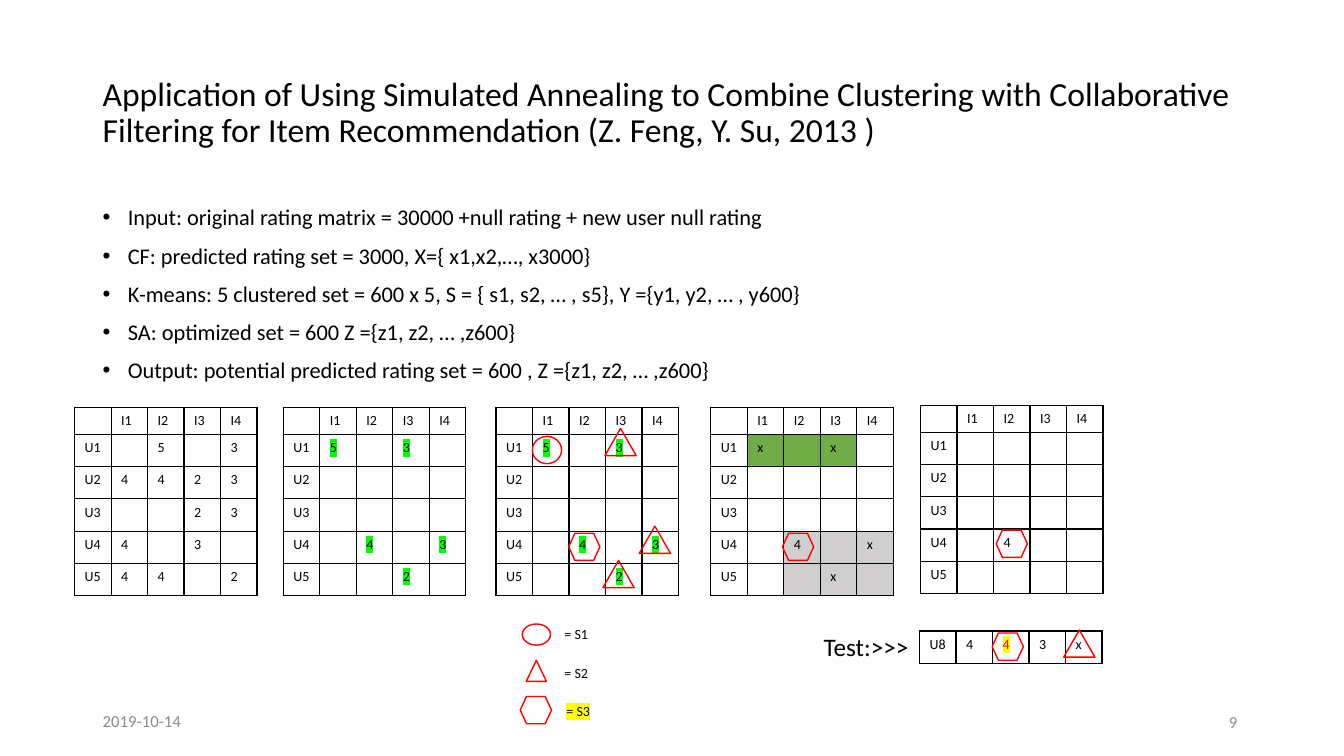
from lxml import etree
from pptx import Presentation
from pptx.dml.color import RGBColor
from pptx.enum.shapes import MSO_SHAPE
from pptx.enum.text import MSO_ANCHOR, PP_ALIGN
from pptx.oxml.ns import qn
from pptx.util import Inches, Pt

CIRCLE = MSO_SHAPE.OVAL
TRIANGLE = MSO_SHAPE.ISOSCELES_TRIANGLE
HEXAGON = MSO_SHAPE.FLOWCHART_PREPARATION
MIDDLE, TOP = MSO_ANCHOR.MIDDLE, MSO_ANCHOR.TOP
LEFT, RIGHT = PP_ALIGN.LEFT, PP_ALIGN.RIGHT

BLACK, GRAY, RED = "000000", "8C8C8C", "FF0000"
LIME, YELLOW, GREEN, SILVER = "00FF00", "FFFF00", "70AD47", "D0CECE"
TABLE_WIDTH, HEADER_HEIGHT, ROW_HEIGHT = 1.81, 0.27, 0.32


def rgb(value):
    return RGBColor.from_string(value)


def apply_format(target, values):
    for name, value in values.items():
        setattr(target, name, value)


def add_color(parent, color):
    fill = etree.SubElement(parent, qn("a:solidFill"))
    etree.SubElement(fill, qn("a:srgbClr"), val=color)


class SlideBuilder:
    font_name = "Calibri"

    def __init__(self, slide):
        self.slide = slide

    def add_text_run(self, paragraph, text, size, color=BLACK, highlight=None):
        run = paragraph.add_run()
        run.text = text
        apply_format(run.font, {"size": Pt(size), "name": self.font_name})
        run.font.color.rgb = rgb(color)
        if highlight:
            mark = etree.Element(qn("a:highlight"))
            etree.SubElement(mark, qn("a:srgbClr"), val=highlight)
            run._r.get_or_add_rPr().find(qn("a:solidFill")).addnext(mark)

    def text(self, box, lines, size, anchor=TOP, wrap=True, align=LEFT,
             spacing=None, bullet=False, **style):
        shape = self.slide.shapes.add_textbox(*map(Inches, box))
        frame = shape.text_frame
        apply_format(frame, {"word_wrap": wrap, "vertical_anchor": anchor})
        for index, line in enumerate(lines):
            paragraph = frame.add_paragraph() if index else frame.paragraphs[0]
            apply_format(paragraph, {"alignment": align, "line_spacing": spacing})
            if bullet:
                paragraph.space_before = Pt(10 if index else 0)
                properties = paragraph._p.get_or_add_pPr()
                properties.set("marL", str(Inches(0.25)))
                properties.set("indent", str(Inches(-0.25)))
                etree.SubElement(properties, qn("a:buFont"), typeface="Arial")
                etree.SubElement(properties, qn("a:buChar"), char="•")
            self.add_text_run(paragraph, line, size, **style)

    def marker(self, kind, left, top, width=0.31, height=0.27):
        shape = self.slide.shapes.add_shape(kind, *map(Inches, (left, top, width, height)))
        shape.shadow.inherit = False
        shape.fill.background()
        shape.line.color.rgb = rgb(RED)
        shape.line.width = Pt(1)

    def border(self, cell):
        properties = cell._tc.get_or_add_tcPr()
        for side in ("lnL", "lnR", "lnT", "lnB"):
            line = etree.SubElement(properties, qn(f"a:{side}"), w=str(Pt(1)))
            add_color(line, BLACK)

    def table(self, left, top, rows, heights, styles=None, fills=None):
        """Each row is a string of cells; a dot leaves a cell empty."""
        styles, fills = styles or {}, fills or {}
        cells = [row.split() for row in rows]
        columns = len(cells[0])
        frame = self.slide.shapes.add_table(
            len(cells), columns, Inches(left), Inches(top),
            Inches(TABLE_WIDTH), Inches(sum(heights)))
        table = frame.table
        apply_format(table, {"first_row": False, "horz_banding": False})
        for column in table.columns:
            column.width = Inches(TABLE_WIDTH / columns)
        for row, height in zip(table.rows, heights):
            row.height = Inches(height)
        for r, values in enumerate(cells):
            for c, value in enumerate(values):
                cell = table.cell(r, c)
                self.border(cell)
                if (r, c) in fills:
                    cell.fill.solid()
                    cell.fill.fore_color.rgb = rgb(fills[r, c])
                else:
                    cell.fill.background()
                paragraph = cell.text_frame.paragraphs[0]
                if value == ".":
                    # Keep empty cells as low as filled ones
                    etree.SubElement(paragraph._p, qn("a:endParaRPr"), sz="1000")
                else:
                    self.add_text_run(paragraph, value, 10, **styles.get((r, c), {}))

    def matrix(self, left, top, ratings, **options):
        rows = [". I1 I2 I3 I4"]
        rows += [f"U{number} {row}" for number, row in enumerate(ratings, 1)]
        self.table(left, top, rows, [HEADER_HEIGHT] + [ROW_HEIGHT] * len(ratings), **options)


def main():
    presentation = Presentation()
    presentation.slide_width, presentation.slide_height = Inches(13.33), Inches(7.5)
    builder = SlideBuilder(presentation.slides.add_slide(presentation.slide_layouts[6]))

    # Title, body and footer
    builder.text((0.92, 0.4, 11.5, 1.45), [
        "Application of Using Simulated Annealing to Combine Clustering with "
        "Collaborative Filtering for Item Recommendation (Z. Feng, Y. Su, 2013 )",
    ], 24, anchor=MIDDLE, spacing=0.9)
    builder.text((0.92, 2, 11.5, 1.9), [
        "Input: original rating matrix = 30000 +null rating + new user null rating",
        "CF: predicted rating set = 3000, X={ x1,x2,…, x3000}",
        "K-means: 5 clustered set = 600 x 5, S = { s1, s2, … , s5}, Y ={y1, y2, … , y600}",
        "SA: optimized set = 600 Z ={z1, z2, … ,z600}",
        "Output: potential predicted rating set = 600 , Z ={z1, z2, … ,z600}",
    ], 16, spacing=0.9, bullet=True)
    builder.text((0.92, 6.95, 3, 0.4), ["2019-10-14"], 12, anchor=MIDDLE, color=GRAY)
    builder.text((9.37, 6.96, 3, 0.4), ["9"], 12, anchor=MIDDLE, align=RIGHT, color=GRAY)

    # Rating matrices: input, predicted, clustered, optimized, output
    empty = ". . . ."
    builder.matrix(0.74, 4.04, [". 5 . 3", "4 4 2 3", ". . 2 3", "4 . 3 .", "4 4 . 2"])
    predicted = ["5 . 3 .", empty, empty, ". 4 . 3", ". . 2 ."]
    lime_cells = {position: {"highlight": LIME}
                  for position in ((1, 1), (1, 3), (4, 2), (4, 4), (5, 3))}
    for left in (2.81, 4.92):
        builder.matrix(left, 4.04, predicted, styles=lime_cells)
    clusters = {(1, c): GREEN for c in (1, 2, 3)}
    clusters.update({(r, c): SILVER for r in (4, 5) for c in (2, 3, 4)})
    builder.matrix(7.05, 4.04, ["x . x .", empty, empty, ". 4 . x", ". . x ."], fills=clusters)
    builder.matrix(9.13, 4.02, [empty, empty, empty, ". 4 . .", empty])

    # Test row
    builder.table(9.12, 6.26, ["U8 4 4 3 x"], [ROW_HEIGHT],
                  styles={(0, 2): {"color": RED, "highlight": YELLOW}})
    builder.text((8.07, 6.21, 1.05, 0.4), ["Test:>>>"], 18, wrap=False)

    # Cluster markers over the cells
    builder.marker(CIRCLE, 5.28, 4.33, width=0.29)
    for left, top in ((6, 4.25), (6.34, 5.22), (5.98, 5.56), (10.55, 6.25)):
        builder.marker(TRIANGLE, left, top)
    for left, top in ((5.64, 5.29), (7.76, 5.29), (9.88, 5.26), (9.84, 6.28)):
        builder.marker(HEXAGON, left, top)

    # Legend
    builder.marker(CIRCLE, 5.18, 6.19, 0.28, 0.21)
    builder.marker(TRIANGLE, 5.22, 6.55, 0.2, 0.21)
    builder.marker(HEXAGON, 5.16, 6.91)
    for left, top, label, highlight in (
            (5.5, 6.16, "= S1", None), (5.5, 6.54, "= S2", None), (5.52, 6.92, "= S3", YELLOW)):
        builder.text((left, top, 0.54, 0.27), [label], 10, highlight=highlight)

    presentation.save("out.pptx")


if __name__ == "__main__":
    main()
